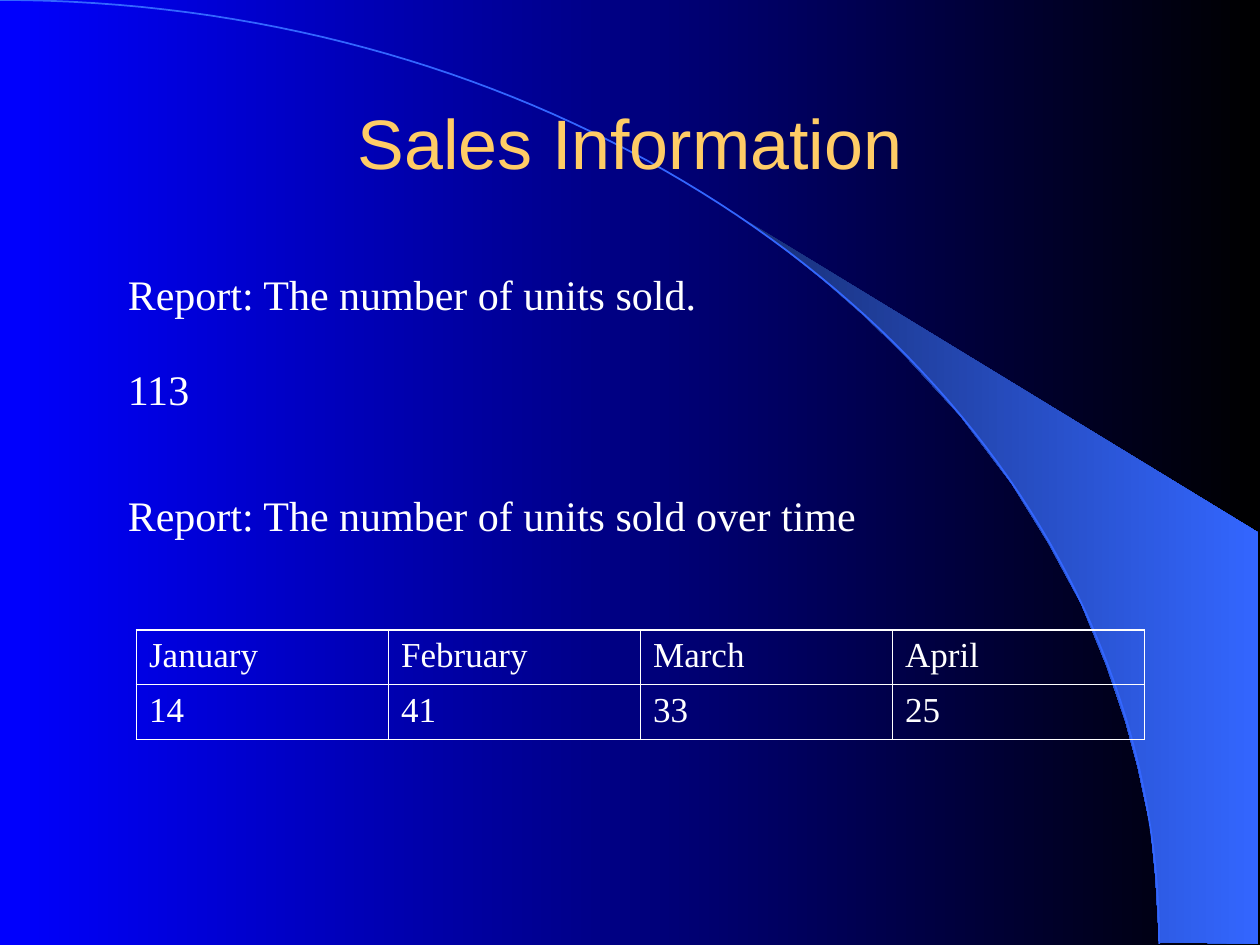
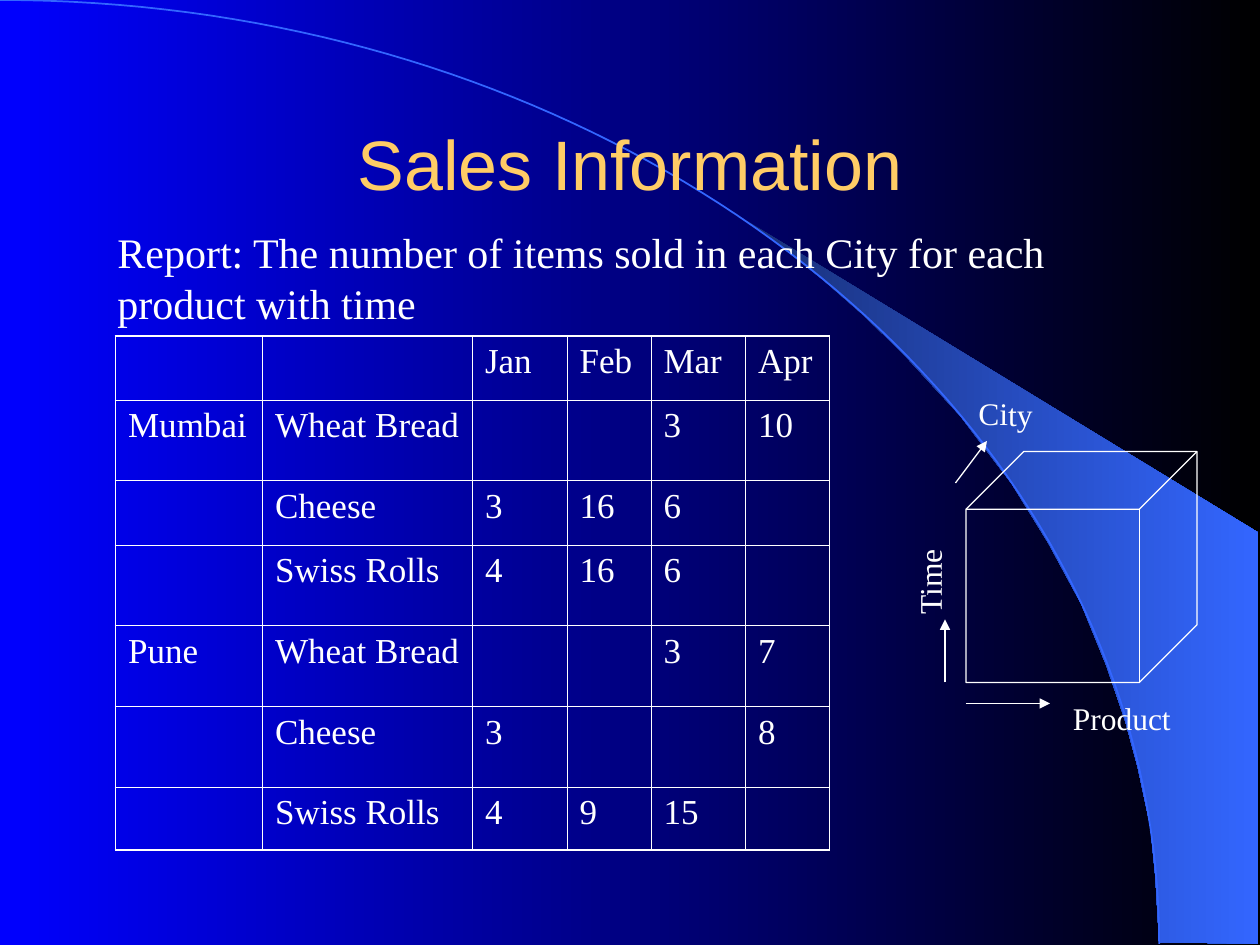
from typing import NamedTuple

from lxml import etree
from pptx import Presentation
from pptx.dml.color import RGBColor
from pptx.enum.shapes import MSO_CONNECTOR, MSO_SHAPE
from pptx.enum.text import MSO_ANCHOR, PP_ALIGN
from pptx.oxml import parse_xml
from pptx.oxml.ns import nsdecls, qn
from pptx.util import Inches, Pt

SLIDE_WIDTH, SLIDE_HEIGHT = Inches(10), Inches(7.5)
GRID_COLUMNS, GRID_ROWS = 120, 90
TITLE_ONLY = 5

BLUE = RGBColor(0x00, 0x00, 0xFF)
BLACK = RGBColor(0x00, 0x00, 0x00)
NAVY = RGBColor(0x18, 0x2F, 0x76)
SKY = RGBColor(0x33, 0x66, 0xFF)
GOLD = RGBColor(0xFF, 0xCC, 0x66)
WHITE = RGBColor(0xFF, 0xFF, 0xFF)

TITLE_FONT, BODY_FONT = "Arial", "Times New Roman"
TITLE_SIZE, REPORT_SIZE, CELL_SIZE, AXIS_SIZE = Pt(40), Pt(24), Pt(20), Pt(18)
OUTER_BORDER, INNER_BORDER, THIN_LINE = Pt(1.08), Pt(0.45), Pt(0.75)

CENTER, MIDDLE = PP_ALIGN.CENTER, MSO_ANCHOR.MIDDLE
CUBE, STRAIGHT = MSO_SHAPE.CUBE, MSO_CONNECTOR.STRAIGHT

# Slide decoration, in inches
ARC_CONTROLS = ((0, 0), (5.08, 0), (9.2, 3.35), (9.2, 7.49))
ARC_STEPS = 80
BEAM_OUTLINE = (
    (9.2, 7.48), (9.99, 7.49), (9.99, 4.23), (5.89, 1.73), (6.24, 1.99),
    (6.53, 2.22), (6.85, 2.5), (7.16, 2.8), (7.62, 3.3), (8.03, 3.84),
    (8.32, 4.31), (8.58, 4.79), (8.78, 5.28), (8.93, 5.72), (9.03, 6.09),
    (9.13, 6.56), (9.17, 6.96), (9.2, 7.48),
)


class Box(NamedTuple):
    """A place on the grid, in columns and rows."""
    left: float
    top: float
    width: float
    height: float

    def lengths(self) -> tuple:
        return (column(self.left), row(self.top),
                column(self.width), row(self.height))


class Label(NamedTuple):
    text: str
    box: Box
    size: int = REPORT_SIZE
    wrap: bool = False
    rotation: float = 0


class Arrow(NamedTuple):
    start: tuple
    end: tuple


class Grid(NamedTuple):
    left: float
    top: float
    widths: tuple
    heights: tuple
    values: tuple


UNITS_LABELS = (
    Label("Report: The number of units sold.", Box(11, 25, 56.6, 6)),
    Label("113", Box(11, 34, 8.4, 6)),
    Label("Report: The number of units sold over time", Box(11, 46, 71.8, 6)),
)
UNITS_GRID = Grid(13, 60, (24,) * 4, (5.2,) * 2, (
    ("January", "February", "March", "April"),
    ("14", "41", "33", "25"),
))

CITY_LABELS = (
    Label("Report: The number of items sold in each City for each product "
          "with time", Box(10, 21, 100, 10.8), wrap=True),
    Label("Product", Box(101, 66, 11.8, 4.8), AXIS_SIZE, wrap=True),
    Label("Time", Box(84.1, 52.9, 8.8, 4.8), AXIS_SIZE, rotation=270),
    Label("City", Box(92, 37, 13.1, 4.8), AXIS_SIZE, wrap=True, rotation=0.3),
)
CITY_GRID = Grid(11, 32, (14, 20, 9, 8, 9, 8), (6.1, 7.7, 6.1, 7.7, 7.7, 7.7, 6), (
    ("", "", "Jan", "Feb", "Mar", "Apr"),
    ("Mumbai", "Wheat Bread", "", "", "3", "10"),
    ("", "Cheese", "3", "16", "6", ""),
    ("", "Swiss Rolls", "4", "16", "6", ""),
    ("Pune", "Wheat Bread", "", "", "3", "7"),
    ("", "Cheese", "3", "", "", "8"),
    ("", "Swiss Rolls", "4", "9", "15", ""),
))
CUBE_BOX = Box(92, 43, 22, 22)
AXIS_ARROWS = (
    Arrow((92, 67), (100, 67)),
    Arrow((90, 65), (90, 59)),
    Arrow((91, 46), (94, 42)),
)


def column(count: float) -> int:
    return round(SLIDE_WIDTH * count / GRID_COLUMNS)


def row(count: float) -> int:
    return round(SLIDE_HEIGHT * count / GRID_ROWS)


def set_gradient(fill, start: RGBColor, end: RGBColor) -> None:
    fill.gradient()
    fill.gradient_angle = 0
    for stop, color, position in zip(fill.gradient_stops, (start, end), (0, 1)):
        stop.color.rgb = color
        stop.position = position


def format_font(paragraph, name: str, size: int, color: RGBColor) -> None:
    for run in paragraph.runs:
        run.font.name = name
        run.font.size = size
        run.font.color.rgb = color


def arc_points() -> list:
    """Points along the cubic curve given by ARC_CONTROLS."""
    points = []
    for step in range(ARC_STEPS + 1):
        t = step / ARC_STEPS
        weights = ((1 - t) ** 3, 3 * t * (1 - t) ** 2, 3 * t * t * (1 - t), t ** 3)
        points.append(tuple(
            sum(weight * control[axis] for weight, control in zip(weights, ARC_CONTROLS))
            for axis in (0, 1)))
    return points


def add_outline(slide, points, close: bool):
    corners = [(Inches(x), Inches(y)) for x, y in points]
    builder = slide.shapes.build_freeform(*corners[0])
    builder.add_line_segments(corners[1:], close=close)
    shape = builder.convert_to_shape()
    shape.shadow.inherit = False
    return shape


def add_decoration(slide) -> None:
    beam = add_outline(slide, BEAM_OUTLINE, close=True)
    set_gradient(beam.fill, NAVY, SKY)
    beam.line.fill.background()
    arc = add_outline(slide, arc_points(), close=False)
    arc.fill.background()
    arc.line.color.rgb = SKY
    arc.line.width = Pt(1)


def add_titled_slide(presentation, title_text: str, box: Box):
    slide = presentation.slides.add_slide(presentation.slide_layouts[TITLE_ONLY])
    set_gradient(slide.background.fill, BLUE, BLACK)
    add_decoration(slide)
    title = slide.shapes.title
    title.element.getparent().append(title.element)  # in front of the decoration
    title.left, title.top, title.width, title.height = box.lengths()
    title.text_frame.text = title_text
    title.text_frame.vertical_anchor = MIDDLE
    paragraph = title.text_frame.paragraphs[0]
    paragraph.alignment = CENTER
    format_font(paragraph, TITLE_FONT, TITLE_SIZE, GOLD)
    return slide


def add_label(slide, label: Label) -> None:
    shape = slide.shapes.add_textbox(*label.box.lengths())
    shape.rotation = label.rotation
    shape.text_frame.word_wrap = label.wrap
    shape.text_frame.text = label.text
    format_font(shape.text_frame.paragraphs[0], BODY_FONT, label.size, WHITE)


def set_borders(cell, widths: tuple) -> None:
    """Draw the left, right, top and bottom borders with the given widths."""
    properties = cell._tc.get_or_add_tcPr()
    for index, (side, width) in enumerate(zip("LRTB", widths)):
        properties.insert(index, parse_xml(
            f'<a:ln{side} w="{int(width)}" {nsdecls("a")}><a:solidFill>'
            f'<a:srgbClr val="{WHITE}"/></a:solidFill></a:ln{side}>'))


def add_grid(slide, grid: Grid) -> None:
    box = Box(grid.left, grid.top, sum(grid.widths), sum(grid.heights))
    row_count, column_count = len(grid.heights), len(grid.widths)
    table = slide.shapes.add_table(row_count, column_count, *box.lengths()).table
    table.first_row = table.horz_banding = False
    for table_column, width in zip(table.columns, grid.widths):
        table_column.width = column(width)
    for table_row, height in zip(table.rows, grid.heights):
        table_row.height = row(height)
    for y, values in enumerate(grid.values):
        for x, value in enumerate(values):
            cell = table.cell(y, x)
            cell.text_frame.text = value
            format_font(cell.text_frame.paragraphs[0], BODY_FONT, CELL_SIZE, WHITE)
            cell.fill.background()
            on_edge = (x == 0, x == column_count - 1, y == 0, y == row_count - 1)
            set_borders(cell, tuple(
                OUTER_BORDER if edge else INNER_BORDER for edge in on_edge))


def add_cube(slide, box: Box) -> None:
    cube = slide.shapes.add_shape(CUBE, *box.lengths())
    cube.adjustments[0] = 0.25
    cube.shadow.inherit = False
    cube.fill.background()
    cube.line.color.rgb = WHITE
    cube.line.width = THIN_LINE


def add_arrow(slide, arrow: Arrow) -> None:
    (start_x, start_y), (end_x, end_y) = arrow
    connector = slide.shapes.add_connector(
        STRAIGHT, column(start_x), row(start_y), column(end_x), row(end_y))
    connector.line.color.rgb = WHITE
    connector.line.width = THIN_LINE
    properties = connector.element.spPr
    etree.SubElement(properties.find(qn("a:ln")), qn("a:tailEnd"), type="triangle")
    etree.SubElement(properties, qn("a:effectLst"))


def add_units_slide(presentation) -> None:
    slide = add_titled_slide(presentation, "Sales Information", Box(9, 8, 102, 11))
    for label in UNITS_LABELS:
        add_label(slide, label)
    add_grid(slide, UNITS_GRID)


def add_city_slide(presentation) -> None:
    slide = add_titled_slide(presentation, "Sales Information", Box(9, 8, 102, 15))
    add_grid(slide, CITY_GRID)
    add_cube(slide, CUBE_BOX)
    for arrow in AXIS_ARROWS:
        add_arrow(slide, arrow)
    for label in CITY_LABELS:
        add_label(slide, label)


def main() -> None:
    presentation = Presentation()
    presentation.slide_width = SLIDE_WIDTH
    presentation.slide_height = SLIDE_HEIGHT
    add_units_slide(presentation)
    add_city_slide(presentation)
    presentation.save("out.pptx")


if __name__ == "__main__":
    main()
